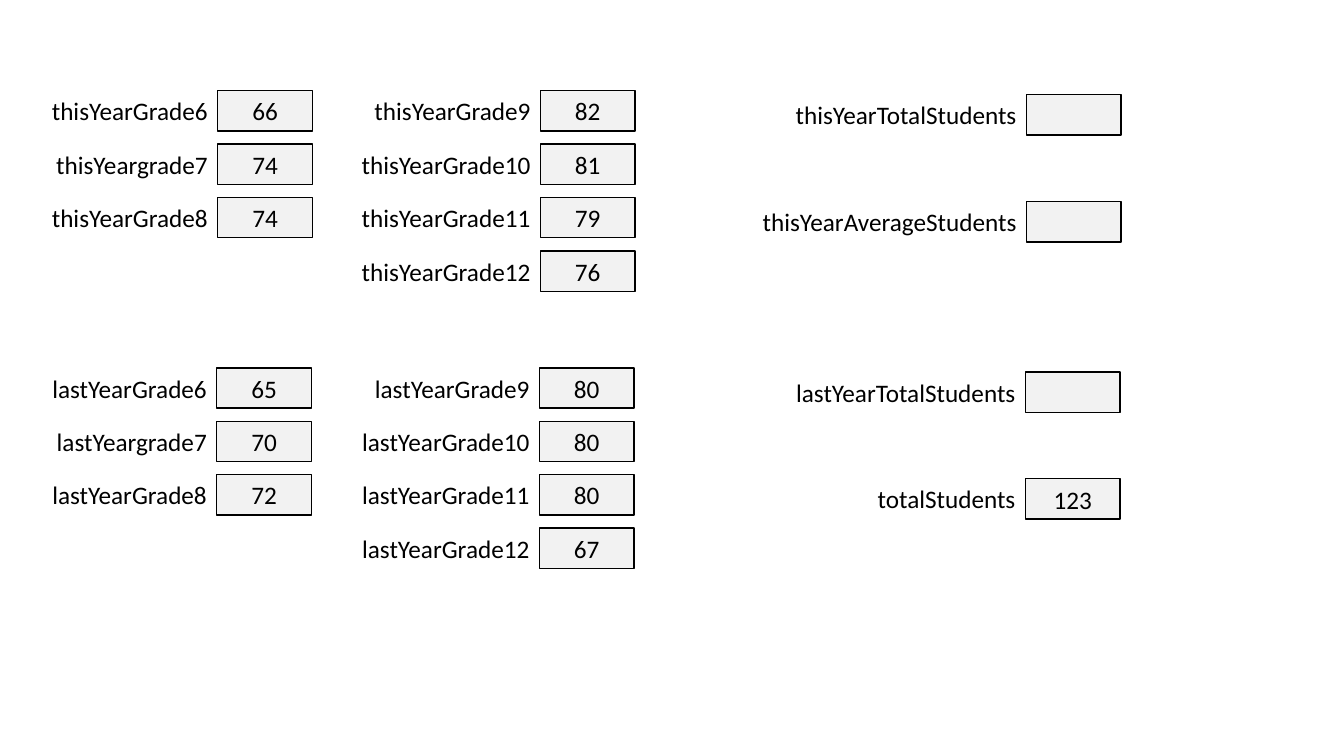
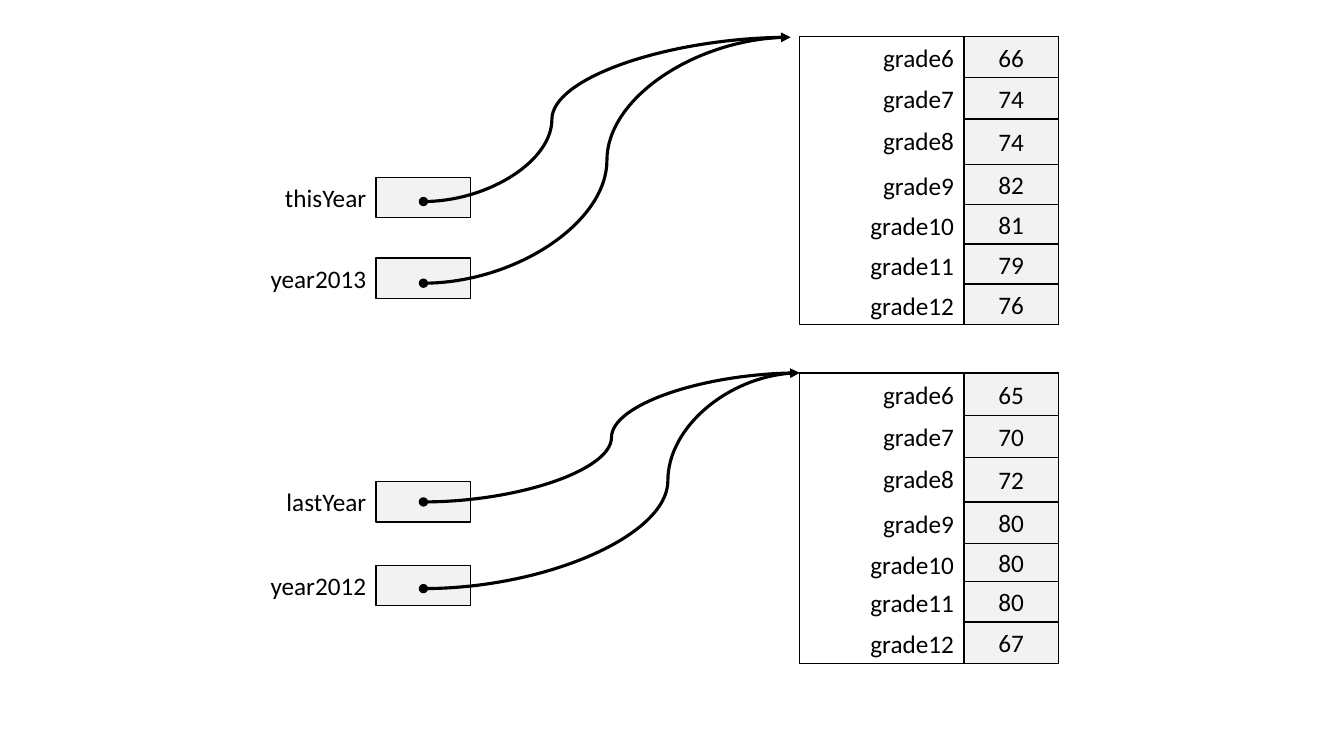
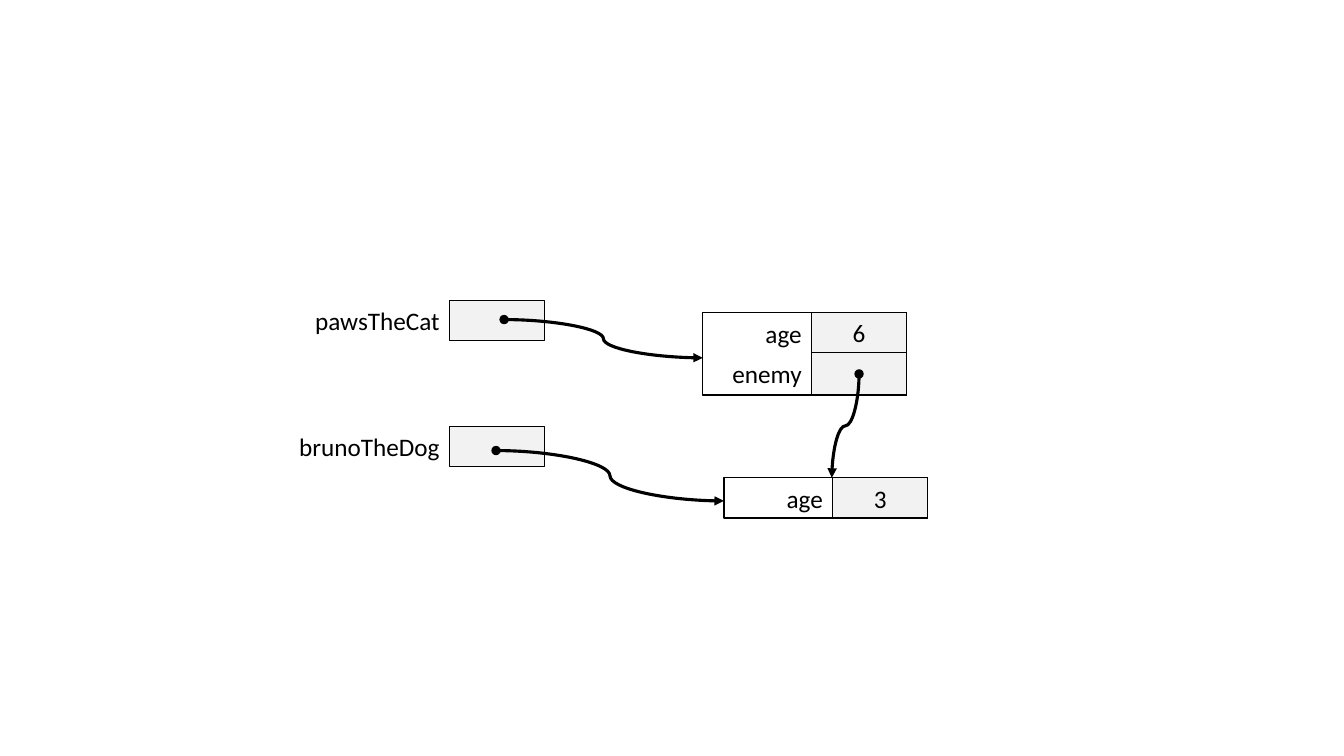
from itertools import accumulate

from pptx import Presentation
from pptx.dml.color import RGBColor
from pptx.enum.shapes import MSO_CONNECTOR, MSO_SHAPE
from pptx.enum.text import MSO_ANCHOR, MSO_AUTO_SIZE, PP_ALIGN
from pptx.oxml.ns import qn
from pptx.util import Inches, Pt
from lxml.etree import SubElement

FONT, TEXT_SIZE = "Calibri", 18
INK, CELL_FILL = "000000", "F2F2F2"
CELL_WIDTH, CELL_HEIGHT = 0.94, 0.4
LABEL_WIDTH = 2.66


def color(hex_text):
    return RGBColor.from_string(hex_text)


def write(shape, text, align):
    para = shape.text_frame.paragraphs[0]
    para.alignment = align
    span = para.add_run()
    span.text = text
    span.font.name = FONT
    span.font.size = Pt(TEXT_SIZE)
    span.font.color.rgb = color(INK)


def add_label(page, right, top, text, width=LABEL_WIDTH):
    """Right-aligned name ending where its cell begins."""
    box = page.shapes.add_textbox(Inches(right - width), Inches(top),
                                  Inches(width), Inches(CELL_HEIGHT))
    box.text_frame.word_wrap = True
    box.text_frame.auto_size = MSO_AUTO_SIZE.SHAPE_TO_FIT_TEXT
    write(box, text, PP_ALIGN.RIGHT)


def add_box(page, left, top, width, height, fill=None):
    box = page.shapes.add_shape(MSO_SHAPE.RECTANGLE, Inches(left), Inches(top),
                                Inches(width), Inches(height))
    box.shadow.inherit = False
    box.line.color.rgb = color(INK)
    box.line.width = Pt(1)
    if fill:
        box.fill.solid()
        box.fill.fore_color.rgb = color(fill)
    else:
        box.fill.background()
    return box


def add_cell(page, left, top, value="", height=CELL_HEIGHT):
    cell = add_box(page, left, top, CELL_WIDTH, height, CELL_FILL)
    cell.text_frame.vertical_anchor = MSO_ANCHOR.MIDDLE
    if value:
        write(cell, value, PP_ALIGN.CENTER)


def add_variable(page, left, top, name, value="", label_width=LABEL_WIDTH):
    add_label(page, left, top, name, label_width)
    add_cell(page, left, top, value)


def add_record(page, left, top, width, fields, heights):
    """Framed object: one named cell per field, cells flush right."""
    cell_left = left + width - CELL_WIDTH
    offsets = accumulate(heights, initial=0)
    for (name, value), height, offset in zip(fields, heights, offsets):
        add_label(page, cell_left, top + offset + 0.01, name)
        add_cell(page, cell_left, top + offset, value, height)
    add_box(page, left, top, width, sum(heights))


def add_reference(page, start, end, bend=0.5, downward=False):
    """Curved arrow from a dot; a downward one is a sideways curve turned 90 degrees."""
    (x1, y1), (x2, y2) = start, end
    if downward:
        middle_x, middle_y = (x1 + x2) / 2, (y1 + y2) / 2
        half_length, half_shift = (y2 - y1) / 2, (x1 - x2) / 2
        x1, x2 = middle_x - half_length, middle_x + half_length
        y1, y2 = middle_y - half_shift, middle_y + half_shift
    arrow = page.shapes.add_connector(MSO_CONNECTOR.CURVE, Inches(x1), Inches(y1),
                                      Inches(x2), Inches(y2))
    arrow.line.color.rgb = color(INK)
    arrow.line.width = Pt(2.25)
    properties = arrow.element.spPr
    if downward:
        properties.find(qn("a:xfrm")).set("rot", "5400000")
    # Position of the bend
    geometry = properties.find(qn("a:prstGeom"))
    adjustments = geometry.find(qn("a:avLst"))
    if adjustments is None:
        adjustments = SubElement(geometry, qn("a:avLst"))
    SubElement(adjustments, qn("a:gd"), name="adj1", fmla=f"val {round(bend * 100000)}")
    # Line ends, no shadow
    line = properties.find(qn("a:ln"))
    SubElement(line, qn("a:headEnd"), type="oval")
    SubElement(line, qn("a:tailEnd"), type="triangle")
    SubElement(properties, qn("a:effectLst"))


def add_year(page, left, top, prefix, columns, totals):
    """Two columns of grade variables, then the totals."""
    row_step = 0.53
    for column, grades in enumerate(columns):
        for row, (name, value) in enumerate(grades):
            add_variable(page, left + column * 3.2, top + row * row_step,
                         prefix + name, value)
    for row, (name, value, label_width) in enumerate(totals):
        add_variable(page, left + 8.02, top + 0.04 + 2 * row * row_step,
                     name, value, label_width)


def build_variables(page):
    add_year(page, 2.16, 0.9, "thisYear",
             [[("Grade6", "66"), ("grade7", "74"), ("Grade8", "74")],
              [("Grade9", "82"), ("Grade10", "81"), ("Grade11", "79"), ("Grade12", "76")]],
             [("thisYearTotalStudents", "", 3.45), ("thisYearAverageStudents", "", 4.29)])
    add_year(page, 2.15, 3.65, "lastYear",
             [[("Grade6", "65"), ("grade7", "70"), ("Grade8", "72")],
              [("Grade9", "80"), ("Grade10", "80"), ("Grade11", "80"), ("Grade12", "67")]],
             [("lastYearTotalStudents", "", 3.45), ("totalStudents", "123", 4.29)])


def add_shared_record(page, left, top, values, heights, variables, target):
    """Grade record with several variables that refer to it."""
    fields = [(f"grade{grade}", value) for grade, value in enumerate(values, 6)]
    add_record(page, left, top, 2.57, fields, heights)
    for name, variable_top, _, _ in variables:
        add_variable(page, 3.73, variable_top, name, label_width=3.45)
    for _, _, dot_top, bend in variables:
        add_reference(page, (4.2, dot_top), target, bend)


def build_references(page):
    add_shared_record(page, 7.93, 0.36, ["66", "74", "74", "82", "81", "79", "76"],
                      [0.41, 0.41, 0.45, 0.4, 0.39, 0.4, 0.4],
                      [("thisYear", 1.76, 2, 0.35), ("year2013", 2.56, 2.81, 0.5)],
                      (7.84, 0.37))
    add_shared_record(page, 7.93, 3.7, ["65", "70", "72", "80", "80", "80", "67"],
                      [0.42, 0.42, 0.44, 0.41, 0.38, 0.4, 0.41],
                      [("lastYear", 4.78, 4.98, 0.5), ("year2012", 5.61, 5.84, 0.65)],
                      (7.93, 3.7))


def build_pets(page):
    add_record(page, 7.18, 4.74, 2.02, [("age", "3")], [0.4])
    add_record(page, 6.97, 3.1, 2.02, [("age", "6"), ("enemy", "")], [0.4, 0.42])
    add_variable(page, 4.46, 2.98, "pawsTheCat")
    add_variable(page, 4.46, 4.23, "brunoTheDog")
    add_reference(page, (5, 3.17), (6.97, 3.55))
    add_reference(page, (4.92, 4.47), (7.18, 4.97))
    add_reference(page, (8.52, 3.71), (8.25, 4.74), downward=True)


deck = Presentation()
deck.slide_width, deck.slide_height = Inches(13.33), Inches(7.5)
blank_layout = deck.slide_layouts[6]
for build in (build_variables, build_references, build_pets):
    build(deck.slides.add_slide(blank_layout))
deck.save("out.pptx")
